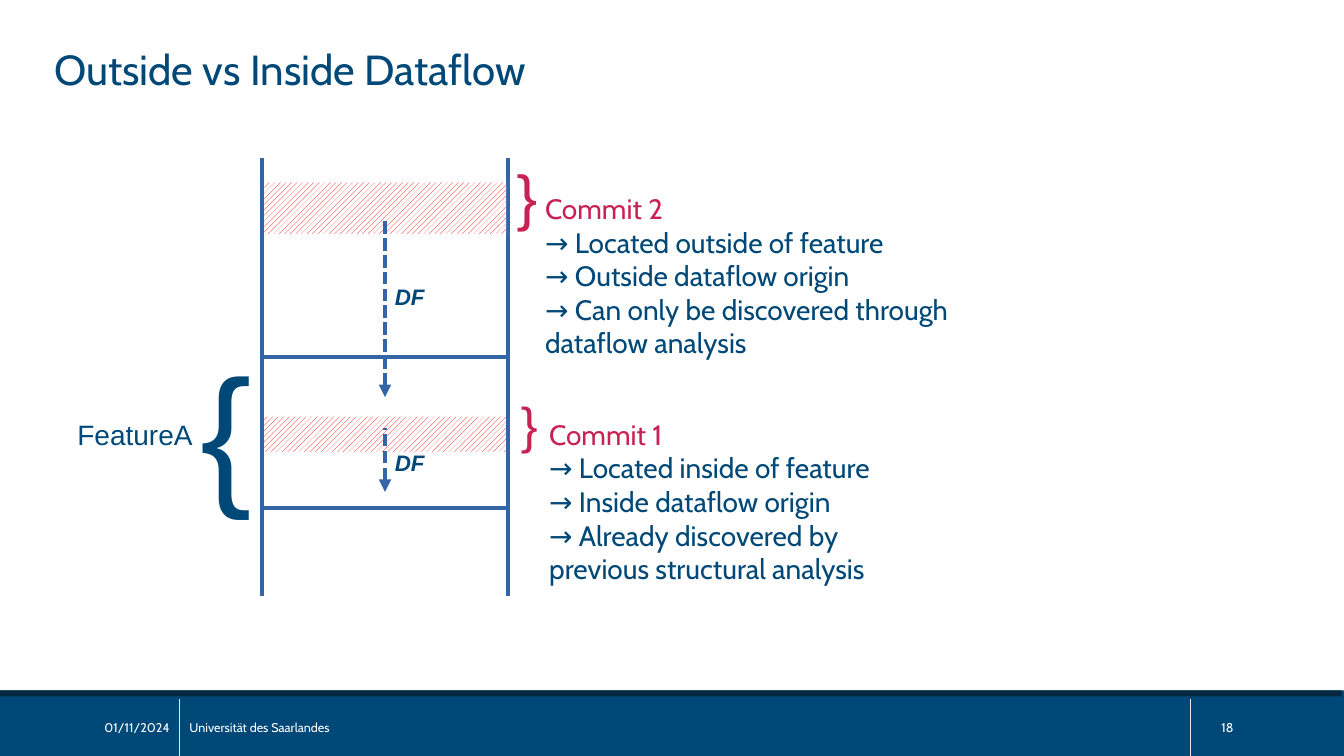
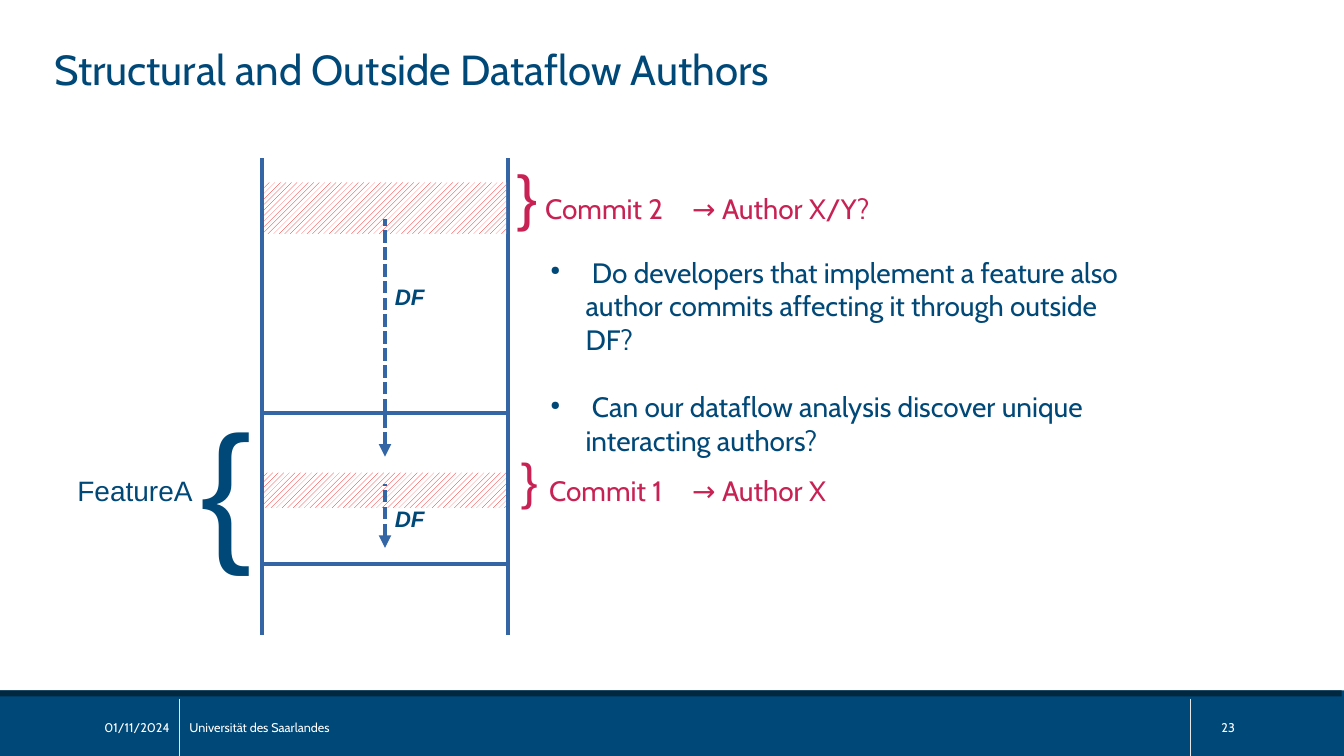
from lxml import etree
from pptx import Presentation
from pptx.dml.color import RGBColor
from pptx.enum.dml import MSO_LINE, MSO_PATTERN
from pptx.enum.shapes import MSO_CONNECTOR, MSO_SHAPE
from pptx.enum.text import MSO_ANCHOR, PP_ALIGN
from pptx.oxml.ns import qn
from pptx.util import Pt

RECT = MSO_SHAPE.RECTANGLE
STRAIGHT = MSO_CONNECTOR.STRAIGHT
HATCH = MSO_PATTERN.WIDE_UPWARD_DIAGONAL
DASH = MSO_LINE.SQUARE_DOT
LEFT, RIGHT = PP_ALIGN.LEFT, PP_ALIGN.RIGHT
TOP, MIDDLE = MSO_ANCHOR.TOP, MSO_ANCHOR.MIDDLE

NAVY = RGBColor(0x00, 0x48, 0x77)
DARK = RGBColor(0x01, 0x28, 0x3F)
BLUE = RGBColor(0x34, 0x65, 0xA4)
CRIMSON = RGBColor(0xC8, 0x22, 0x54)
RED = RGBColor(0xFF, 0x00, 0x00)
WHITE = RGBColor(0xFF, 0xFF, 0xFF)
GREY = RGBColor(0xE6, 0xE6, 0xE6)

SLIDE_W, SLIDE_H = 960, 540
FOOTER_Y = 493.2
RAIL_L, RAIL_R, RAIL_TOP = 187.2, 363, 113
FLOW_X = 275
COMMIT2_X, COMMIT2_Y = 382.3, 133.2
COMMIT1_X = 385.2
AUTHOR_X = 487.4

# Content: shift moves the feature block down, flow_end is the outside arrow's tip
SLIDES = [
    {
        "title": "Outside vs Inside Dataflow", "number": "18",
        "shift": 0, "rail_end": 425.5, "flow_end": 283.7,
        "commit2": (340, ["→ Located outside of feature",
                          "→ Outside dataflow origin",
                          "→ Can only be discovered through dataflow analysis"]),
        "commit1": (264, ["→ Located inside of feature",
                          "→ Inside dataflow origin",
                          "→ Already discovered by previous structural analysis"]),
        "authors": (),
        "questions": (),
    },
    {
        "title": "Structural and Outside Dataflow Authors", "number": "23",
        "shift": 40, "rail_end": 453.6, "flow_end": 326.2,
        "commit2": (120, []),
        "commit1": (120, []),
        "authors": ("→ Author X/Y?", "→ Author X"),
        "questions": (
            " Do developers that implement a feature also author commits "
            "affecting it through outside DF?",
            " Can our dataflow analysis discover unique interacting authors?"),
    },
]


def add_rect(s, x, y, w, h, fill=None, line=None, hatch=False):
    sp = s.shapes.add_shape(RECT, Pt(x), Pt(y), Pt(w), Pt(h))
    sp.shadow.inherit = False
    if hatch:
        sp.fill.patterned()
        sp.fill.pattern = HATCH
        sp.fill.fore_color.rgb = RED
        sp.fill.back_color.rgb = WHITE
    elif fill is not None:
        sp.fill.solid()
        sp.fill.fore_color.rgb = fill
    else:
        sp.fill.background()
    if line is None:
        sp.line.fill.background()
    else:
        sp.line.color.rgb = line
        sp.line.width = Pt(3)


def add_line(s, x, y1, y2, color=BLUE, width=3, arrow=False):
    """Vertical line; an arrow has its head at y1."""
    c = s.shapes.add_connector(STRAIGHT, Pt(x), Pt(y1), Pt(x), Pt(y2))
    c.line.color.rgb = color
    c.line.width = Pt(width)
    if arrow:
        c.line.dash_style = DASH
        etree.SubElement(c.line._get_or_add_ln(), qn("a:headEnd"), type="triangle")
    etree.SubElement(c._element.spPr, qn("a:effectLst"))


def add_text(s, x, y, w, h, lines, size, font="Cabin", align=LEFT, anchor=TOP,
             bold=False, rotation=0):
    """Lines are (text, colour) pairs, one paragraph each."""
    sp = s.shapes.add_textbox(Pt(x), Pt(y), Pt(w), Pt(h))
    sp.rotation = rotation
    tf = sp.text_frame
    tf.word_wrap = True
    tf.vertical_anchor = anchor
    for i, (text, color) in enumerate(lines):
        p = tf.paragraphs[0] if i == 0 else tf.add_paragraph()
        p.alignment = align
        r = p.add_run()
        r.text = text
        r.font.name = font
        r.font.size = Pt(size)
        r.font.bold = r.font.italic = bold
        r.font.color.rgb = color
    return tf


def add_bullet(p):
    pPr = p._p.get_or_add_pPr()
    pPr.set("marL", str(Pt(25.2)))
    pPr.set("indent", str(-Pt(25.2)))
    color = etree.SubElement(pPr, qn("a:buClr"))
    etree.SubElement(color, qn("a:srgbClr"), val=str(NAVY))
    etree.SubElement(pPr, qn("a:buSzPct"), val="45000")
    etree.SubElement(pPr, qn("a:buChar"), char="●")


def add_frame(s, title, number):
    # Footer band, dividers and footer texts
    add_rect(s, 0, FOOTER_Y, SLIDE_W, SLIDE_H - FOOTER_Y, NAVY)
    for x in (128.2, 850.3):
        add_line(s, x, 499, SLIDE_H, GREY, 0.5)
    add_rect(s, 0, FOOTER_Y, 958.3, 4.3, DARK)
    for x, w, text, align in ((865.4, 94.3, number, LEFT),
                              (31.7, 96.5, "01/11/2024", RIGHT),
                              (128.2, 707.8, "Universität des Saarlandes", LEFT)):
        add_text(s, x, 505.6, w, 28.6, [(text, WHITE)], 9, align=align, anchor=MIDDLE)
    # Title
    add_text(s, 31.7, 27.4, 698.4, 54, [(title, NAVY)], 30)


def add_diagram(s, shift, rail_end, flow_end):
    # Code column with the feature and both commits
    for x in (RAIL_L, RAIL_R):
        add_line(s, x, RAIL_TOP, rail_end)
    width = RAIL_R - RAIL_L
    add_rect(s, RAIL_L, 297.6 + shift, width, 25.2, hatch=True)
    add_rect(s, RAIL_L, 254.8 + shift, width, 108, line=BLUE)
    add_rect(s, RAIL_L + 1.5, 130.3, width - 3, 36.7, hatch=True)
    # Braces
    add_text(s, 136, 235.2 + shift, 99.4, 141.8, [("{", NAVY)], 110, "Arial")
    add_text(s, 48.2, 294.5 + shift, 113, 47.5, [("FeatureA", NAVY)], 20, "Arial")
    for y, size in ((280.6 + shift, 36), (124.6, 44)):
        add_text(s, RAIL_R, y, 28, 57, [("{", CRIMSON)], size, "Arial", rotation=180)
    # Dataflow arrows and their labels
    for tip, start, label_y in ((flow_end, 156.2, 198.7),
                                (351.4 + shift, 306 + shift, 317.5 + shift)):
        add_line(s, FLOW_X, tip, start, arrow=True)
        add_text(s, FLOW_X, label_y, 113, 47.5, [("DF", NAVY)], 16, "Arial", bold=True)


def add_notes(s, data):
    # Commit headings with their findings
    commit1_y = 294.5 + data["shift"]
    for name, x, y, key in (("Commit 2", COMMIT2_X, COMMIT2_Y, "commit2"),
                            ("Commit 1", COMMIT1_X, commit1_y, "commit1")):
        w, findings = data[key]
        lines = [(name, CRIMSON)] + [(text, NAVY) for text in findings]
        add_text(s, x, y, w, 34.6 + 29 * len(findings), lines, 20)
    # Authors beside the commits
    for y, author in zip((COMMIT2_Y, commit1_y), data["authors"]):
        add_text(s, AUTHOR_X, y, 158.4, 34.6, [(author, CRIMSON)], 20)
    # Research questions
    if data["questions"]:
        tf = add_text(s, 386, 178.6, 436.3, 171.4,
                      [(text, NAVY) for text in data["questions"]], 20)
        for i, p in enumerate(tf.paragraphs):
            add_bullet(p)
            if i:
                p.space_before = Pt(24)


def main():
    prs = Presentation()
    prs.slide_width, prs.slide_height = Pt(SLIDE_W), Pt(SLIDE_H)
    for data in SLIDES:
        s = prs.slides.add_slide(prs.slide_layouts[6])
        add_frame(s, data["title"], data["number"])
        add_diagram(s, data["shift"], data["rail_end"], data["flow_end"])
        add_notes(s, data)
    prs.save("out.pptx")


if __name__ == "__main__":
    main()
